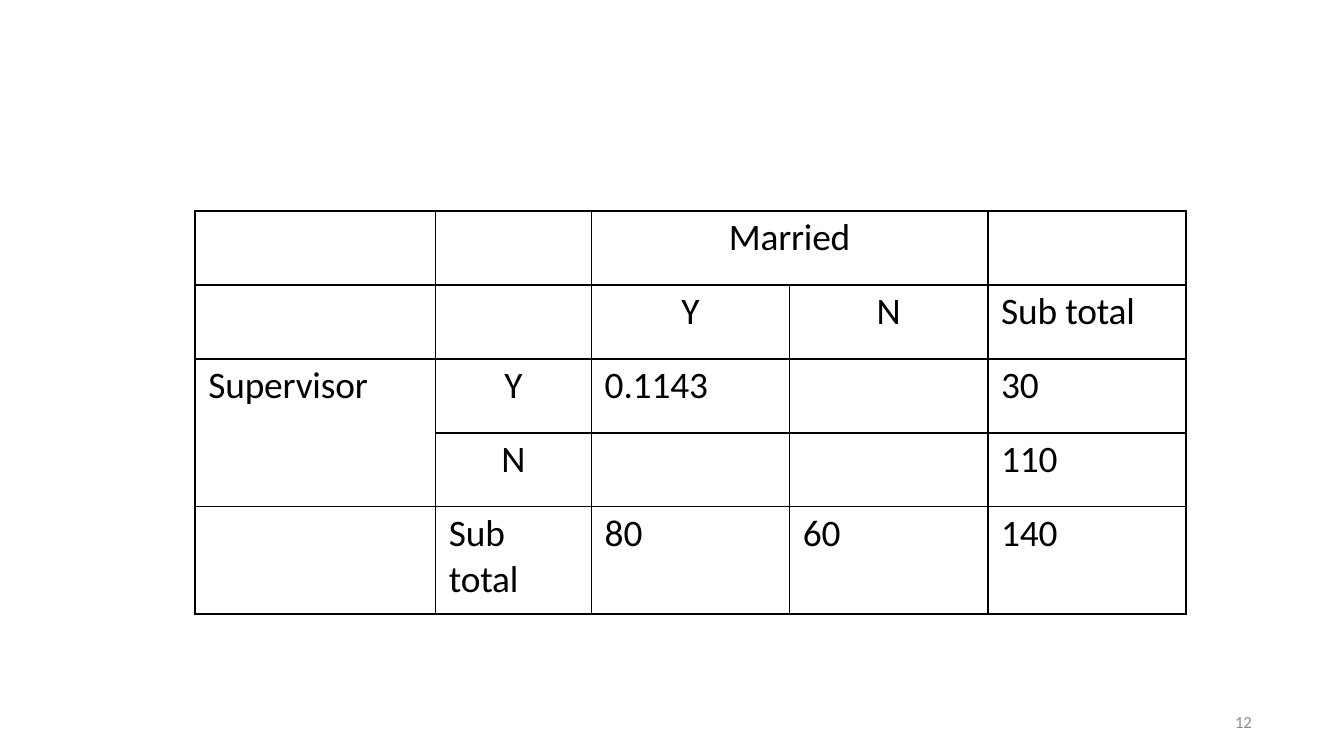
from lxml import etree
from pptx import Presentation
from pptx.dml.color import RGBColor
from pptx.enum.text import MSO_ANCHOR, PP_ALIGN
from pptx.oxml.ns import qn
from pptx.util import Pt

PX = 4572
BLACK = RGBColor(0x00, 0x00, 0x00)
GRAY = RGBColor(0x8C, 0x8C, 0x8C)
LEFT, CENTER, RIGHT = PP_ALIGN.LEFT, PP_ALIGN.CENTER, PP_ALIGN.RIGHT
MIDDLE = MSO_ANCHOR.MIDDLE

COLUMNS = [358, 232, 295, 295, 295]
ROWS = [110, 110, 110, 110, 160]
CELLS = [
    ["", "", "Married", "", ""],
    ["", "", "Y", "N", "Sub total"],
    ["Supervisor", "Y", "0.1143", "", "30"],
    ["", "N", "", "", "110"],
    ["", "Sub\ntotal", "80", "60", "140"],
]
MERGES = [((0, 2), (0, 3)), ((2, 0), (3, 0))]
CENTERED = {"Married", "Y", "N"}


class Deck:
    font = "Calibri"
    spacing = -10

    def __init__(self, width, height):
        self.prs = Presentation()
        self.prs.slide_width, self.prs.slide_height = width * PX, height * PX
        self.s = self.prs.slides.add_slide(self.prs.slide_layouts[6])

    def run(self, p, text, size, color, align):
        p.alignment = align
        r = p.add_run()
        r.text = text
        r.font.name = self.font
        r.font.size = Pt(size)
        r.font.color.rgb = color
        r.font._element.set("spc", str(self.spacing))

    def text(self, x, y, w, h, text, size, color, align):
        sp = self.s.shapes.add_textbox(x * PX, y * PX, w * PX, h * PX)
        tf = sp.text_frame
        tf.word_wrap = True
        tf.vertical_anchor = MIDDLE
        tf.margin_left = tf.margin_top = tf.margin_right = tf.margin_bottom = 0
        p = tf.paragraphs[0]
        p.line_spacing = Pt(12.4)
        self.run(p, text, size, color, align)

    def borders(self, cell):
        tcPr = cell._tc.get_or_add_tcPr()
        for i, side in enumerate(("lnL", "lnR", "lnT", "lnB")):
            ln = etree.Element(qn(f"a:{side}"), w=str(Pt(1)))
            fill = etree.SubElement(ln, qn("a:solidFill"))
            etree.SubElement(fill, qn("a:srgbClr"), val=str(BLACK))
            tcPr.insert(i, ln)

    def cell(self, cell, text):
        align = CENTER if text in CENTERED else LEFT
        cell.margin_left = 20 * PX if align == LEFT else 0
        cell.margin_top = 6 * PX
        cell.margin_right = cell.margin_bottom = 0
        cell.fill.background()
        self.borders(cell)
        if not text:
            return
        tf = cell.text_frame
        for i, line in enumerate(text.split("\n")):
            p = tf.add_paragraph() if i else tf.paragraphs[0]
            p.space_before = Pt(0 if i else 2.4)
            self.run(p, line, 20, BLACK, align)

    def table(self, x, y, columns, rows, cells, merges):
        frame = self.s.shapes.add_table(
            len(rows), len(columns), x * PX, y * PX, sum(columns) * PX, sum(rows) * PX)
        table = frame.table
        table.first_row = table.horz_banding = False
        for column, width in zip(table.columns, columns):
            column.width = width * PX
        for row, height in zip(table.rows, rows):
            row.height = height * PX
        for start, end in merges:
            table.cell(*start).merge(table.cell(*end))
        for i, texts in enumerate(cells):
            for j, text in enumerate(texts):
                self.cell(table.cell(i, j), text)


def main():
    deck = Deck(2000, 1125)
    deck.table(290, 314, COLUMNS, ROWS, CELLS, MERGES)
    deck.text(1413, 1042, 450, 60, "12", 9, GRAY, RIGHT)
    deck.prs.save("out.pptx")


if __name__ == "__main__":
    main()
